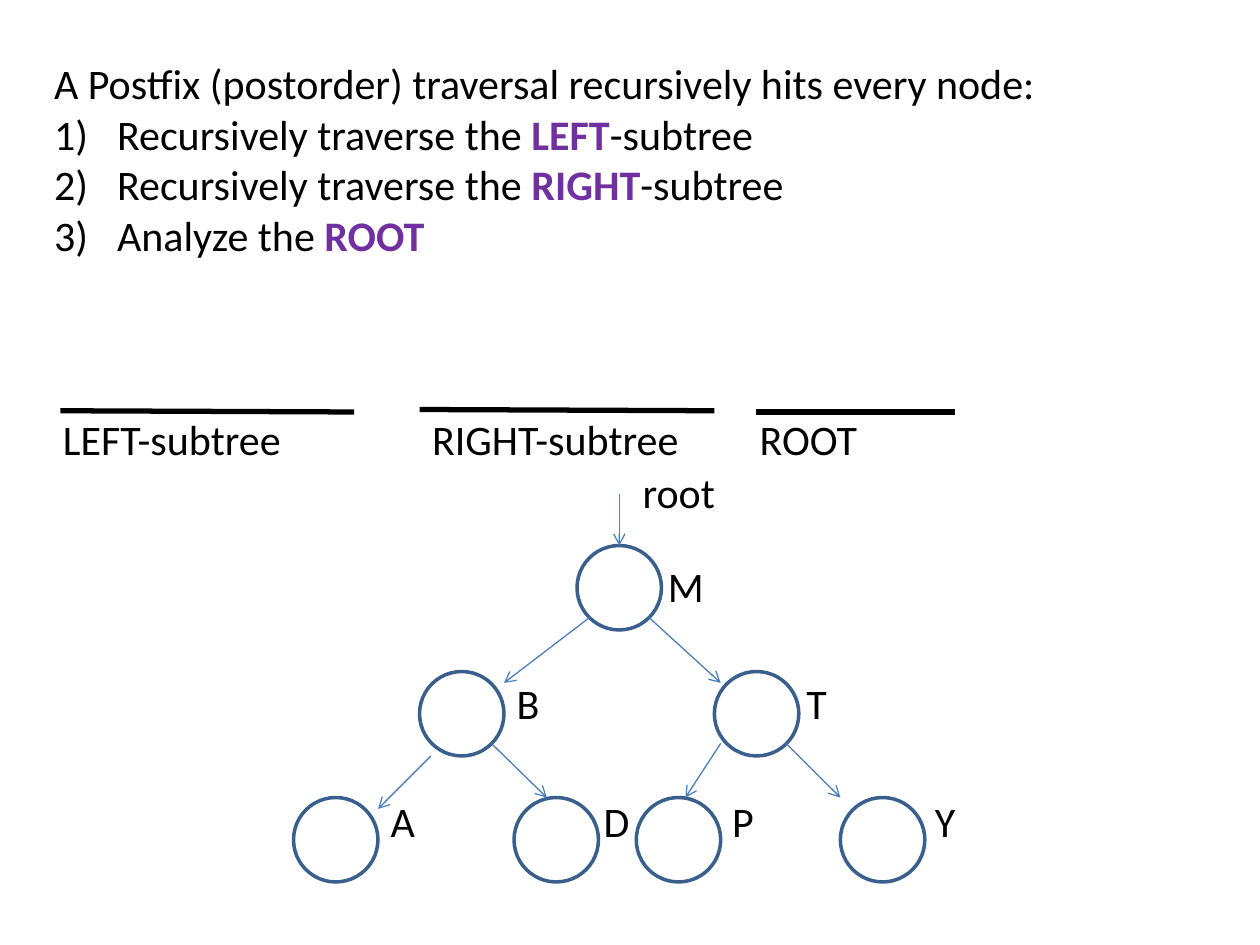
from lxml.etree import SubElement
from pptx import Presentation
from pptx.dml.color import RGBColor
from pptx.enum.shapes import MSO_CONNECTOR, MSO_SHAPE
from pptx.oxml.ns import qn
from pptx.util import Inches, Pt

BLACK = RGBColor(0x00, 0x00, 0x00)
PURPLE = RGBColor(0x70, 0x30, 0xA0)
NODE_LINE = RGBColor(0x3A, 0x5F, 0x8C)
ARROW_LINE = RGBColor(0x4B, 0x7E, 0xBC)

NODE_SIZE = 0.67
ROOT_LEFT = 4.58
ROOT_CENTER = ROOT_LEFT + NODE_SIZE / 2
LEVEL_TOPS = (4.33, 5.33, 6.33)
LABEL_TOPS = (4.45, 5.38, 6.31)
LABEL_WIDTHS = (0.3, 0.25, 0.25)

STEPS = (
    ("Recursively traverse the ", "LEFT", "-subtree"),
    ("Recursively traverse the ", "RIGHT", "-subtree"),
    ("Analyze the ", "ROOT", ""),
)
# name, level, circle left, label left
NODES = (
    ("M", 0, ROOT_LEFT, 5.3),
    ("B", 1, 3.33, 4.1),
    ("T", 1, 5.67, 6.4),
    ("A", 2, 2.33, 3.1),
    ("D", 2, 4.08, 4.79),
    ("P", 2, 5.05, 5.81),
    ("Y", 2, 6.67, 7.42),
)
EDGES = (
    ((4.68, 4.9), (4, 5.42)),
    ((5.15, 4.9), (5.72, 5.42)),
    ((3.42, 6), (3, 6.42)),
    ((3.9, 5.9), (4.34, 6.33)),
    ((5.72, 5.9), (5.44, 6.33)),
    ((6.24, 5.9), (6.67, 6.33)),
)
# caption, caption left, rule start, rule end
BLANKS = (
    ("LEFT-subtree", 0.5, (0.48, 3.26), (2.81, 3.27)),
    ("RIGHT-subtree", 3.43, (3.33, 3.25), (5.67, 3.26)),
    ("ROOT", 6.03, (6, 3.27), (7.58, 3.27)),
)


def add_run(paragraph, text, size=24, color=BLACK, bold=False, font="Calibri"):
    run = paragraph.add_run()
    run.text = text
    run.font.name = font
    run.font.size = Pt(size)
    run.font.bold = bold
    run.font.color.rgb = color


def number_paragraph(paragraph):
    """Give the paragraph a 1) 2) 3) number with a hanging indent."""
    properties = paragraph._p.get_or_add_pPr()
    properties.set("marL", str(Inches(0.5)))
    properties.set("indent", str(-Inches(0.5)))
    SubElement(properties, qn("a:buFont"), typeface="+mj-lt")
    SubElement(properties, qn("a:buAutoNum"), type="arabicParenR")


class TreeSlide:
    """Holds the slide and the style of its elements."""

    def __init__(self, slide):
        self.slide = slide

    def text_box(self, left, top, width, height):
        frame = self.slide.shapes.add_textbox(
            Inches(left), Inches(top), Inches(width), Inches(height)).text_frame
        frame.word_wrap = True
        frame.margin_left = frame.margin_right = 0
        frame.margin_top = frame.margin_bottom = 0
        return frame

    def label(self, text, left, top, width):
        add_run(self.text_box(left, top, width, 0.4).paragraphs[0], text)

    def node(self, left, top):
        circle = self.slide.shapes.add_shape(
            MSO_SHAPE.OVAL, Inches(left), Inches(top),
            Inches(NODE_SIZE), Inches(NODE_SIZE))
        circle.shadow.inherit = False
        circle.fill.background()
        circle.line.color.rgb = NODE_LINE
        circle.line.width = Pt(2)
        return circle

    def line(self, start, end, color=BLACK, width=3):
        points = [Inches(value) for value in (*start, *end)]
        connector = self.slide.shapes.add_connector(MSO_CONNECTOR.STRAIGHT, *points)
        connector.line.color.rgb = color
        connector.line.width = Pt(width)
        SubElement(connector._element.spPr, qn("a:effectLst"))
        return connector

    def arrow(self, start, end):
        connector = self.line(start, end, color=ARROW_LINE, width=0.75)
        SubElement(connector.line._get_or_add_ln(), qn("a:tailEnd"), type="arrow")
        return connector


def main():
    presentation = Presentation()
    presentation.slide_width = Inches(10)
    presentation.slide_height = Inches(7.5)
    page = TreeSlide(presentation.slides.add_slide(presentation.slide_layouts[6]))

    frame = page.text_box(0.43, 0.46, 9.3, 1.65)
    add_run(frame.paragraphs[0],
            "A Postfix (postorder) traversal recursively hits every node:")
    for before, keyword, after in STEPS:
        paragraph = frame.add_paragraph()
        number_paragraph(paragraph)
        add_run(paragraph, before)
        add_run(paragraph, keyword, color=PURPLE, bold=True)
        if after:
            add_run(paragraph, after)

    for caption, left, start, end in BLANKS:
        page.line(start, end)
        page.label(caption, left, 3.28, width=2.2)

    circles = {}
    for name, level, left, label_left in NODES:
        circles[name] = page.node(left, LEVEL_TOPS[level])
        page.label(name, label_left, LABEL_TOPS[level], LABEL_WIDTHS[level])

    page.label("root", 5.1, 3.7, width=0.8)
    root_arrow = page.arrow((ROOT_CENTER, 3.92), (ROOT_CENTER, LEVEL_TOPS[0]))
    root_arrow.end_connect(circles["M"], 0)
    for start, end in EDGES:
        page.arrow(start, end)

    presentation.save("out.pptx")


if __name__ == "__main__":
    main()
